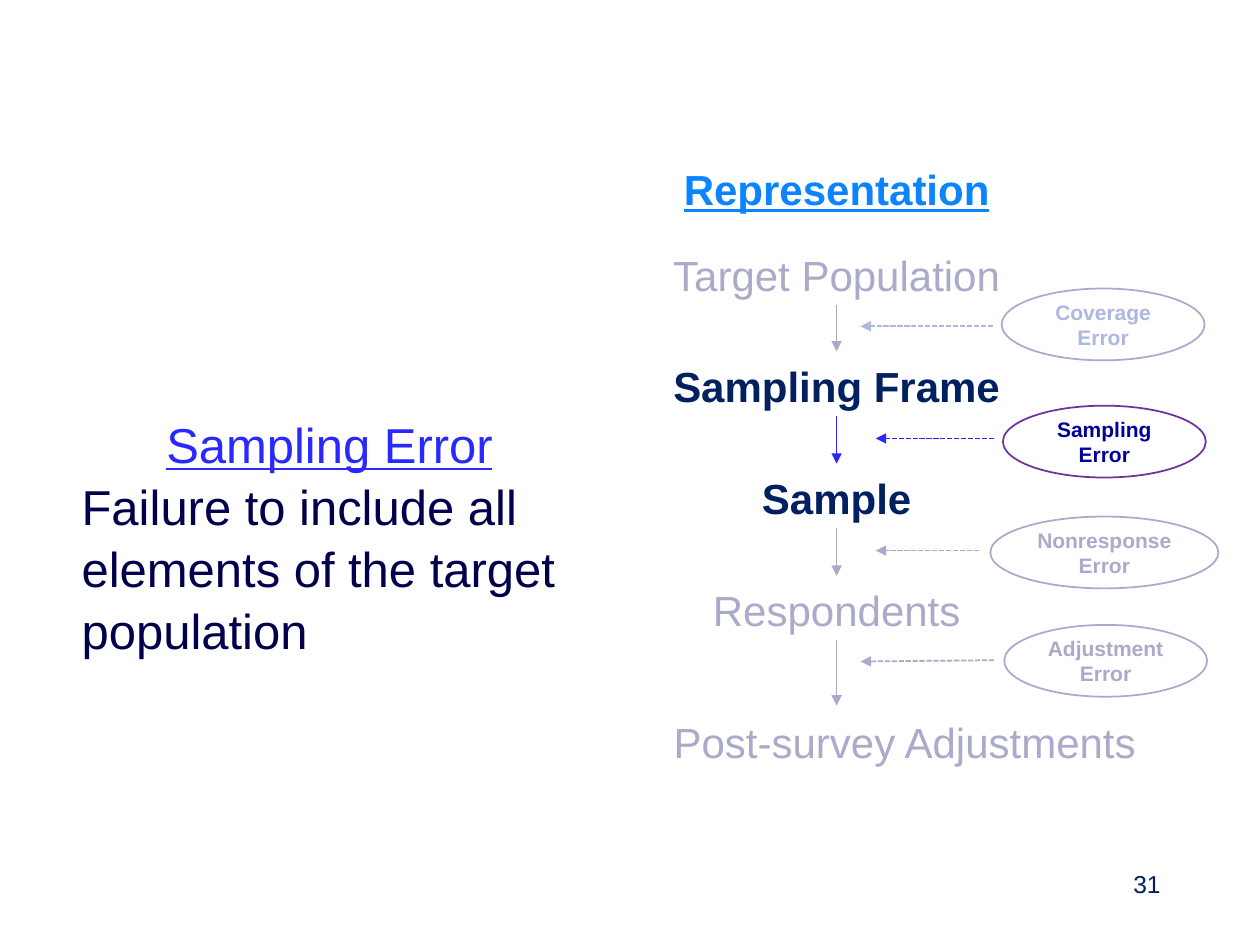
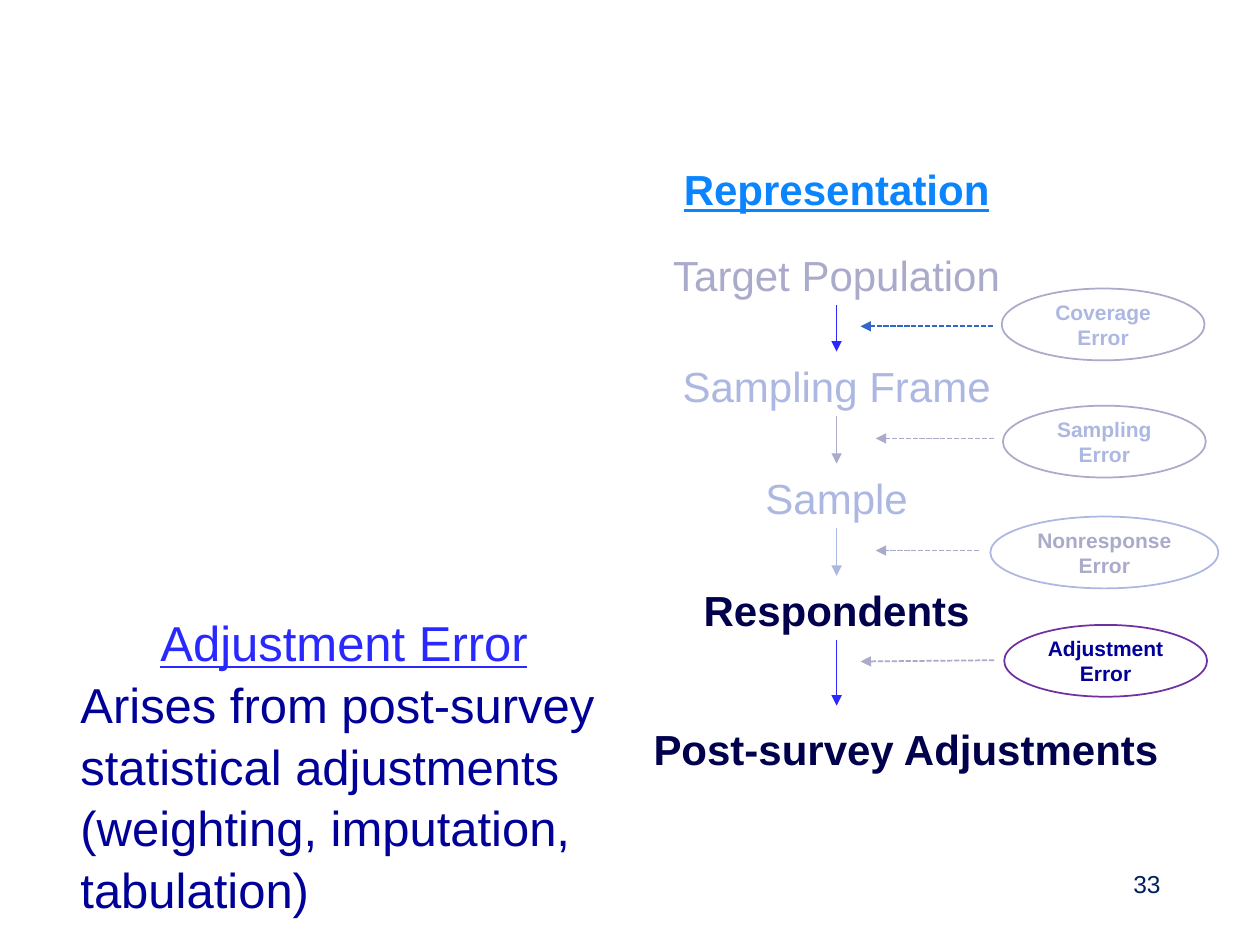
from dataclasses import dataclass
from typing import NamedTuple

from lxml import etree
from pptx import Presentation
from pptx.dml.color import RGBColor
from pptx.enum.dml import MSO_LINE
from pptx.enum.shapes import MSO_CONNECTOR, MSO_SHAPE
from pptx.enum.text import MSO_ANCHOR, MSO_AUTO_SIZE, PP_ALIGN
from pptx.oxml.ns import qn
from pptx.util import Pt

PX = 9144  # EMU in one px: 100 px to the inch
FONT = "Arial"
OVAL = MSO_SHAPE.OVAL
LINE = MSO_CONNECTOR.STRAIGHT
DASH = MSO_LINE.SQUARE_DOT
TOP, MIDDLE = MSO_ANCHOR.TOP, MSO_ANCHOR.MIDDLE
FIXED = MSO_AUTO_SIZE.NONE
LEFT, CENTER, RIGHT = PP_ALIGN.LEFT, PP_ALIGN.CENTER, PP_ALIGN.RIGHT

COLORS = {
    "title": "0A85FF", "blue": "2929FF", "steel": "3366CC",
    "navy": "002060", "ink": "00004C", "deep": "000099",
    "gray": "AAAACA", "pale": "ADB8E2", "purple": "7030A0", "white": "FFFFFF",
}


class Box(NamedTuple):
    left: int
    top: int
    width: int
    height: int


class Step(NamedTuple):
    text: str
    top: int
    framed: bool
    end: int  # where the arrow below the step ends


class Error(NamedTuple):
    text: str
    oval: Box
    start: tuple[int, int]
    end: tuple[int, int]


class Look(NamedTuple):
    text: str
    arrow: str
    oval: str
    label: str
    link: str
    bold: bool = False


@dataclass
class Page:
    number: int
    head: str
    body: str
    ink: str
    note: Box
    looks: list[Look]
    last: Box
    tone: str
    strong: bool


# Parts both slides share
TITLE = Box(525, 125, 278, 50)
NUMBER = Box(706, 685, 225, 40)
AXIS = 664
STEPS = [
    Step("Target Population", 193, True, 279),
    Step("Sampling Frame", 281, True, 368),
    Step("Sample", 370, False, 457),
    Step("Respondents", 459, False, 560),
]
ERRORS = [
    Error("Coverage\nError", Box(795, 229, 161, 57), (788, 259), (683, 259)),
    Error("Sampling Error", Box(796, 322, 161, 57), (789, 348), (695, 348)),
    Error("Nonresponse Error", Box(786, 410, 181, 57), (777, 437), (695, 437)),
    Error("Adjustment Error", Box(797, 496, 161, 57), (789, 524), (683, 525)),
]

# What each slide stresses
PAGES = [
    Page(31, "Sampling Error",
         "Failure to include all elements of the target population",
         "ink", Box(55, 322, 413, 246),
         [Look("gray", "gray", "gray", "pale", "pale"),
          Look("navy", "blue", "purple", "deep", "blue", True),
          Look("navy", "gray", "gray", "gray", "gray", True),
          Look("gray", "gray", "gray", "gray", "gray")],
         Box(511, 564, 414, 50), "gray", False),
    Page(33, "Adjustment Error",
         "Arises from post-survey statistical adjustments "
         "(weighting, imputation, tabulation)",
         "deep", Box(54, 479, 438, 246),
         [Look("gray", "blue", "gray", "pale", "steel"),
          Look("pale", "gray", "gray", "pale", "gray"),
          Look("pale", "pale", "pale", "gray", "gray"),
          Look("ink", "blue", "purple", "deep", "gray", True)],
         Box(500, 569, 438, 50), "ink", True),
]


def tint(name: str) -> RGBColor:
    return RGBColor.from_string(COLORS[name])


def scale(*values: int) -> list[int]:
    return [value * PX for value in values]


def write(shape, text: str, *, size: int = 24, color: str = "gray",
          bold: bool = False, line: bool = False, align=CENTER,
          space: float = 1.0) -> None:
    """Add one paragraph for each line of the text."""
    frame = shape.text_frame
    frame.word_wrap = True
    for part in text.split("\n"):
        para = frame.add_paragraph() if frame.text else frame.paragraphs[0]
        para.alignment = align
        para.line_spacing = space
        run = para.add_run()
        run.text = part
        font = run.font
        font.name, font.size = FONT, Pt(size)
        font.bold, font.underline = bold, line
        font.color.rgb = tint(color)


def label(slide, box: Box, text: str, **style):
    shape = slide.shapes.add_textbox(*scale(*box))
    write(shape, text, **style)
    return shape


def arrow(slide, start: tuple[int, int], end: tuple[int, int], color: str,
          width: float = 0.75, dash: bool = False) -> None:
    line = slide.shapes.add_connector(LINE, *scale(*start, *end))
    line.line.color.rgb = tint(color)
    line.line.width = Pt(width)
    if dash:
        line.line.dash_style = DASH
    tip = etree.SubElement(line.line._get_or_add_ln(), qn("a:tailEnd"))
    tip.set("type", "triangle")
    etree.SubElement(line._element.spPr, qn("a:effectLst"))


def draw_step(slide, step: Step, look: Look) -> None:
    box = Box(513, step.top, 302, 50)
    shape = label(slide, box, step.text, color=look.text, bold=look.bold)
    if step.framed:
        shape.line.color.rgb = tint("white")
        shape.line.width = Pt(0.75)
    arrow(slide, (AXIS, step.top + 49), (AXIS, step.end), look.arrow)


def draw_error(slide, error: Error, look: Look) -> None:
    oval = slide.shapes.add_shape(OVAL, *scale(*error.oval))
    oval.shadow.inherit = False
    oval.fill.background()
    oval.line.color.rgb = tint(look.oval)
    oval.line.width = Pt(1)
    frame = oval.text_frame
    frame.vertical_anchor = MIDDLE
    frame.margin_left = frame.margin_right = 5 * PX
    write(oval, error.text, size=12, color=look.label, bold=True)
    arrow(slide, error.start, error.end, look.link, 1, True)


def draw_title(slide) -> None:
    title = slide.shapes.title
    title.left, title.top, title.width, title.height = scale(*TITLE)
    title.text_frame.vertical_anchor = TOP
    title.text_frame.auto_size = FIXED
    write(title, "Representation", color="title", bold=True, line=True)


def draw_page(deck, page: Page) -> None:
    slide = deck.slides.add_slide(deck.slide_layouts[5])
    draw_title(slide)
    label(slide, NUMBER, str(page.number), size=14, color="navy", align=RIGHT)

    # Chain of steps with the errors that act on them
    for step, error, look in zip(STEPS, ERRORS, page.looks):
        draw_step(slide, step, look)
        draw_error(slide, error, look)
    label(slide, page.last, "Post-survey Adjustments",
          color=page.tone, bold=page.strong)

    # Definition on the left
    note = label(slide, page.note, page.head, size=28, color="blue",
                 line=True, space=1.05)
    write(note, page.body, size=28, color=page.ink, align=LEFT, space=1.05)


def main() -> None:
    deck = Presentation()
    deck.slide_width, deck.slide_height = scale(1000, 750)
    for page in PAGES:
        draw_page(deck, page)
    deck.save("out.pptx")


if __name__ == "__main__":
    main()
